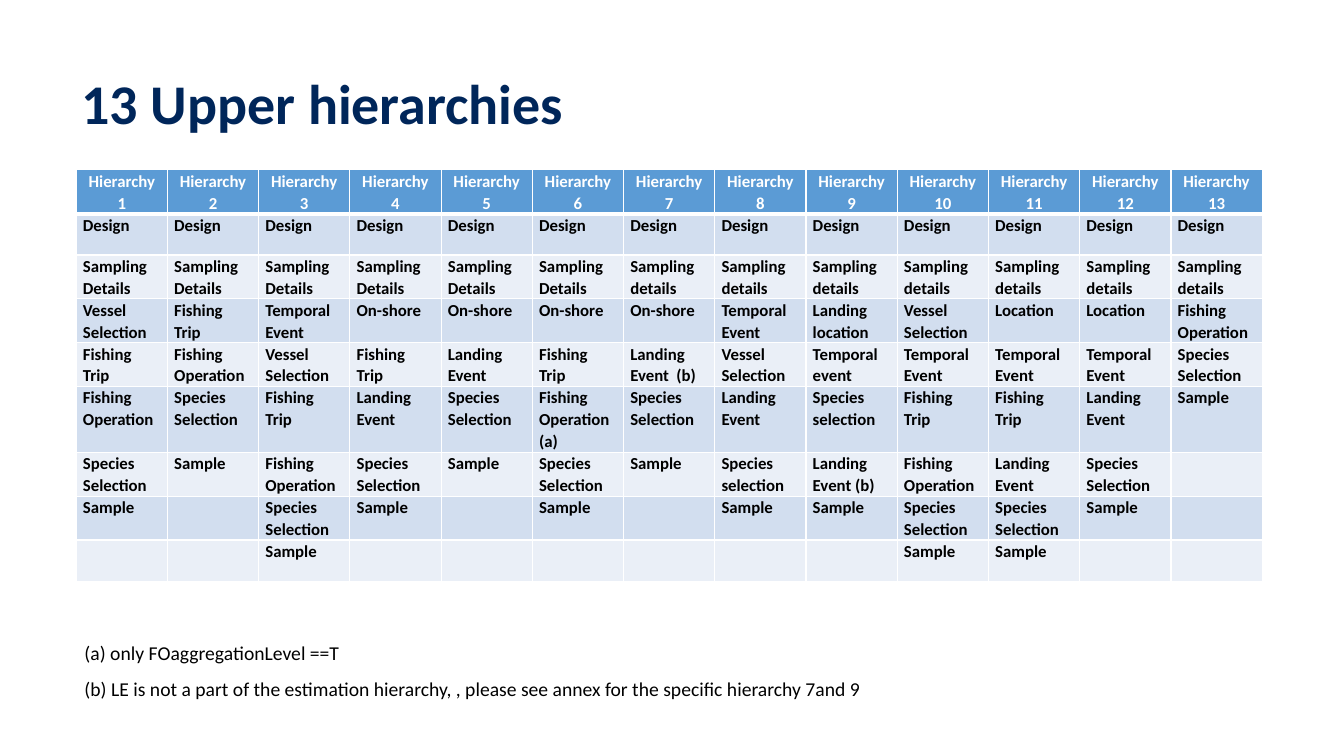
from dataclasses import dataclass

from lxml.etree import SubElement
from pptx import Presentation
from pptx.dml.color import RGBColor
from pptx.enum.text import MSO_ANCHOR, MSO_AUTO_SIZE, PP_ALIGN
from pptx.oxml.ns import qn
from pptx.slide import Slide
from pptx.table import _Cell
from pptx.text.text import _Paragraph
from pptx.util import Cm, Pt


@dataclass(frozen=True)
class Theme:
    font: str = "Calibri"
    title_colour: str = "00265A"
    text_colour: str = "000000"
    light: str = "FFFFFF"
    header_fill: str = "5B9BD5"
    band_fills: tuple[str, str] = ("D2DEEF", "EAEFF7")
    title_size: int = 40
    table_size: int = 12
    note_size: int = 14
    line_spacing: float = 1.07


@dataclass(frozen=True)
class Hierarchy:
    heading: str
    levels: tuple[str, ...]


THEME = Theme()
LEVEL_COUNT = 8
COLUMN_WIDTH = Cm(2.3)
ROW_HEIGHT = Cm(1.04)

HIERARCHIES = [
    Hierarchy("Hierarchy 1", ("Design", "Sampling Details", "Vessel Selection", "Fishing Trip",
                              "Fishing Operation", "Species Selection", "Sample")),
    Hierarchy("Hierarchy 2", ("Design", "Sampling Details", "Fishing Trip", "Fishing Operation",
                              "Species Selection", "Sample")),
    Hierarchy("Hierarchy 3", ("Design", "Sampling Details", "Temporal Event", "Vessel Selection",
                              "Fishing Trip", "Fishing Operation", "Species Selection", "Sample")),
    Hierarchy("Hierarchy 4", ("Design", "Sampling Details", "On-shore", "Fishing Trip",
                              "Landing Event", "Species Selection", "Sample")),
    Hierarchy("Hierarchy 5", ("Design", "Sampling Details", "On-shore", "Landing Event",
                              "Species Selection", "Sample")),
    Hierarchy("Hierarchy 6", ("Design", "Sampling Details", "On-shore", "Fishing Trip",
                              "Fishing Operation (a)", "Species Selection", "Sample")),
    Hierarchy("Hierarchy 7", ("Design", "Sampling details", "On-shore", "Landing Event  (b)",
                              "Species Selection", "Sample")),
    Hierarchy("Hierarchy\n8", ("Design", "Sampling details", "Temporal Event", "Vessel Selection",
                               "Landing Event", "Species selection", "Sample")),
    Hierarchy("Hierarchy 9", ("Design", "Sampling details", "Landing location", "Temporal event",
                              "Species selection", "Landing Event (b)", "Sample")),
    Hierarchy("Hierarchy\n10", ("Design", "Sampling details", "Vessel Selection", "Temporal Event",
                                "Fishing Trip", "Fishing Operation", "Species Selection", "Sample")),
    Hierarchy("Hierarchy 11", ("Design", "Sampling details", "Location", "Temporal Event",
                               "Fishing Trip", "Landing Event", "Species Selection", "Sample")),
    Hierarchy("Hierarchy\n12", ("Design", "Sampling details", "Location", "Temporal Event",
                                "Landing Event", "Species Selection", "Sample")),
    Hierarchy("Hierarchy 13", ("Design", "Sampling details", "Fishing Operation",
                               "Species Selection", "Sample")),
]

NOTES = [
    "(a) only FOaggregationLevel ==T",
    "(b) LE is not a part of the estimation hierarchy, , please see annex "
    "for the specific hierarchy 7and 9",
]


def format_paragraph(para: _Paragraph, size: int, colour: str, bold: bool = False,
                     align: PP_ALIGN = PP_ALIGN.LEFT,
                     spacing: float = THEME.line_spacing) -> None:
    para.alignment = align
    para.line_spacing = spacing
    para.font.name = THEME.font
    para.font.size = Pt(size)
    para.font.bold = bold
    para.font.color.rgb = RGBColor.from_string(colour)


def add_borders(cell: _Cell, bottom_width: int) -> None:
    """Draw all four sides; call before filling, as lines precede the fill in a cell."""
    properties = cell._tc.get_or_add_tcPr()
    for side, width in (("L", 1), ("R", 1), ("T", 1), ("B", bottom_width)):
        line = SubElement(properties, qn(f"a:ln{side}"), w=str(Pt(width)))
        fill = SubElement(line, qn("a:solidFill"))
        SubElement(fill, qn("a:srgbClr"), val=THEME.light)


def format_cell(cell: _Cell, text: str, row: int) -> None:
    header = row == 0
    add_borders(cell, bottom_width=3 if header else 1)
    cell.fill.solid()
    fill = THEME.header_fill if header else THEME.band_fills[(row - 1) % 2]
    cell.fill.fore_color.rgb = RGBColor.from_string(fill)
    cell.margin_left = cell.margin_right = Cm(0.17)
    cell.margin_top = cell.margin_bottom = 0
    cell.vertical_anchor = MSO_ANCHOR.MIDDLE if header else MSO_ANCHOR.TOP
    cell.text = text
    for para in cell.text_frame.paragraphs:
        format_paragraph(para, THEME.table_size,
                         THEME.light if header else THEME.text_colour, bold=True,
                         align=PP_ALIGN.CENTER if header else PP_ALIGN.LEFT)


def add_title(page: Slide, text: str) -> None:
    title = page.shapes.title
    title.left, title.top, title.width, title.height = Cm(1.8), Cm(1.2), Cm(25.95), Cm(2.95)
    frame = title.text_frame
    frame.text = text
    frame.vertical_anchor = MSO_ANCHOR.MIDDLE
    frame.auto_size = MSO_AUTO_SIZE.NONE
    format_paragraph(frame.paragraphs[0], THEME.title_size, THEME.title_colour,
                     bold=True, spacing=0.9)


def add_hierarchy_table(page: Slide, hierarchies: list[Hierarchy]) -> None:
    row_count, column_count = LEVEL_COUNT + 1, len(hierarchies)
    table = page.shapes.add_table(row_count, column_count, Cm(1.92), Cm(4.28),
                                  COLUMN_WIDTH * column_count, ROW_HEIGHT * row_count).table
    table.horz_banding = False
    for row in table.rows:
        row.height = ROW_HEIGHT
    for column, hierarchy in enumerate(hierarchies):
        table.columns[column].width = COLUMN_WIDTH
        padding = ("",) * (LEVEL_COUNT - len(hierarchy.levels))
        for row, text in enumerate((hierarchy.heading, *hierarchy.levels, *padding)):
            format_cell(table.cell(row, column), text, row)


def add_notes(page: Slide, notes: list[str]) -> None:
    box = page.shapes.add_textbox(Cm(1.88), Cm(15.98), Cm(28.63), Cm(1.8))
    frame = box.text_frame
    frame.word_wrap = True
    frame.auto_size = MSO_AUTO_SIZE.SHAPE_TO_FIT_TEXT
    frame.text = "\n".join(notes)
    for para in frame.paragraphs:
        format_paragraph(para, THEME.note_size, THEME.text_colour)
        para.space_after = Pt(8)


def main() -> None:
    deck = Presentation()
    deck.slide_width, deck.slide_height = Cm(33.87), Cm(19.05)
    page = deck.slides.add_slide(deck.slide_layouts.get_by_name("Title Only"))
    add_title(page, "13 Upper hierarchies")
    add_hierarchy_table(page, HIERARCHIES)
    add_notes(page, NOTES)
    deck.save("out.pptx")


if __name__ == "__main__":
    main()
